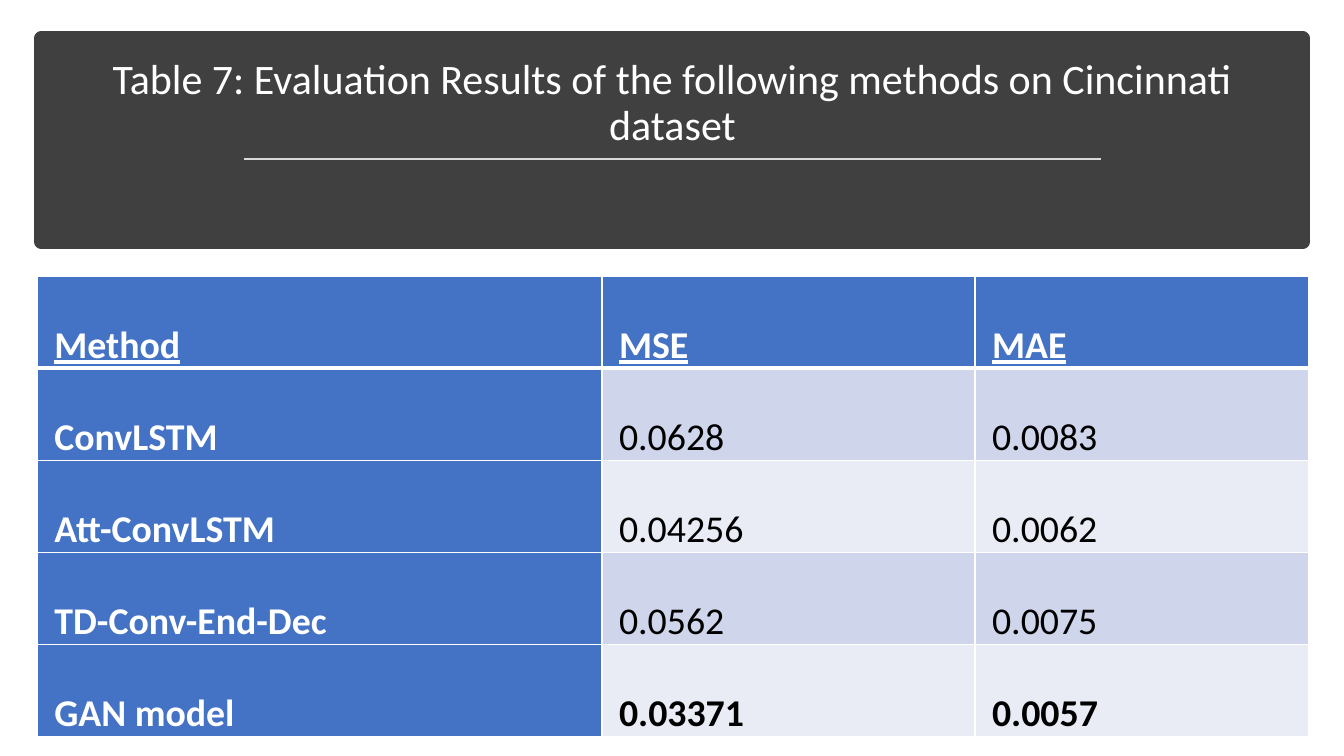
from pptx import Presentation
from pptx.dml.color import RGBColor
from pptx.enum.shapes import MSO_CONNECTOR, MSO_SHAPE
from pptx.enum.text import MSO_ANCHOR, MSO_AUTO_SIZE, PP_ALIGN
from pptx.oxml.ns import qn
from pptx.util import Inches, Pt
from lxml.etree import SubElement

# Content
TITLE = "Table 7: Evaluation Results of the following methods on Cincinnati dataset"
ROWS = [
    ("Method", "MSE", "MAE"),
    ("ConvLSTM", "0.0628", "0.0083"),
    ("Att-ConvLSTM", "0.04256", "0.0062"),
    ("TD-Conv-End-Dec", "0.0562", "0.0075"),
    ("GAN model", "0.03371", "0.0057"),
]
BEST_ROW = len(ROWS) - 1

# Layout in inches
SLIDE_W, SLIDE_H = 13.33, 7.5
BANNER = (0.41, 0.38, 12.51, 2.02)
TITLE_BOX = (0.58, 0.51, 12.18, 1.02)
RULE_X, RULE_Y, RULE_W = 2.42, 1.58, 8.5
TABLE_X, TABLE_Y, ROW_H = 0.37, 2.74, 0.87
COL_W = (5.6, 3.7, 3.31)

# Style
FONT = "Calibri"
WHITE = RGBColor(0xFF, 0xFF, 0xFF)
BLACK = RGBColor(0x00, 0x00, 0x00)
DARK = RGBColor(0x40, 0x40, 0x40)
RULE_GRAY = RGBColor(0xD9, 0xD9, 0xD9)
BLUE = RGBColor(0x44, 0x72, 0xC4)
BANDS = (RGBColor(0xCF, 0xD5, 0xEA), RGBColor(0xE9, 0xEB, 0xF5))


def add_run(p, text, size, color, bold=False, underline=False):
    r = p.add_run()
    r.text = text
    f = r.font
    f.name, f.size, f.bold, f.underline = FONT, Pt(size), bold, underline
    f.color.rgb = color


def set_borders(cell, widths):
    """Draw white borders; widths are points for left, right, top, bottom."""
    tcPr = cell._tc.get_or_add_tcPr()
    for i, (side, width) in enumerate(zip("LRTB", widths)):
        ln = SubElement(tcPr, qn(f"a:ln{side}"), w=str(Pt(width)))
        fill = SubElement(ln, qn("a:solidFill"))
        SubElement(fill, qn("a:srgbClr"), val=str(WHITE))
        tcPr.insert(i, ln)


prs = Presentation()
prs.slide_width, prs.slide_height = Inches(SLIDE_W), Inches(SLIDE_H)
s = prs.slides.add_slide(prs.slide_layouts[5])

# Banner, placed behind the title
banner = s.shapes.add_shape(MSO_SHAPE.RECTANGLE, *map(Inches, BANNER))
banner.shadow.inherit = False
banner.fill.solid()
banner.fill.fore_color.rgb = DARK
banner.line.color.rgb = DARK
banner.line.width = Pt(10)
title = s.shapes.title
title._element.addprevious(banner._element)

# Title
title.left, title.top, title.width, title.height = map(Inches, TITLE_BOX)
tf = title.text_frame
tf.word_wrap = True
tf.auto_size = MSO_AUTO_SIZE.NONE
tf.vertical_anchor = MSO_ANCHOR.BOTTOM
p = tf.paragraphs[0]
p.alignment = PP_ALIGN.CENTER
p.line_spacing = 0.9
add_run(p, TITLE, 30, WHITE)

# Rule under the title
rule = s.shapes.add_connector(
    MSO_CONNECTOR.STRAIGHT, Inches(RULE_X), Inches(RULE_Y),
    Inches(RULE_X + RULE_W), Inches(RULE_Y))
rule.line.color.rgb = RULE_GRAY
rule.line.width = Pt(1.75)
SubElement(rule._element.spPr, qn("a:effectLst"))

# Results table
table = s.shapes.add_table(
    len(ROWS), len(COL_W), Inches(TABLE_X), Inches(TABLE_Y),
    Inches(sum(COL_W)), Inches(ROW_H * len(ROWS))).table
table.first_col = True
for col, width in zip(table.columns, COL_W):
    col.width = Inches(width)

for i, row in enumerate(ROWS):
    for j, text in enumerate(row):
        header = i == 0
        label = header or j == 0
        cell = table.cell(i, j)
        cell.margin_left = cell.margin_right = Inches(0.17)
        cell.margin_top = cell.margin_bottom = 0
        cell.fill.solid()
        cell.fill.fore_color.rgb = BLUE if label else BANDS[(i - 1) % 2]
        set_borders(cell, (1, 1, 3 if i == 1 else 1, 3 if header else 1))
        p = cell.text_frame.paragraphs[0]
        p.alignment = PP_ALIGN.JUSTIFY
        p.line_spacing = 2.0
        add_run(p, text, 27, WHITE if label else BLACK,
                bold=label or i == BEST_ROW, underline=header)

prs.save("out.pptx")
